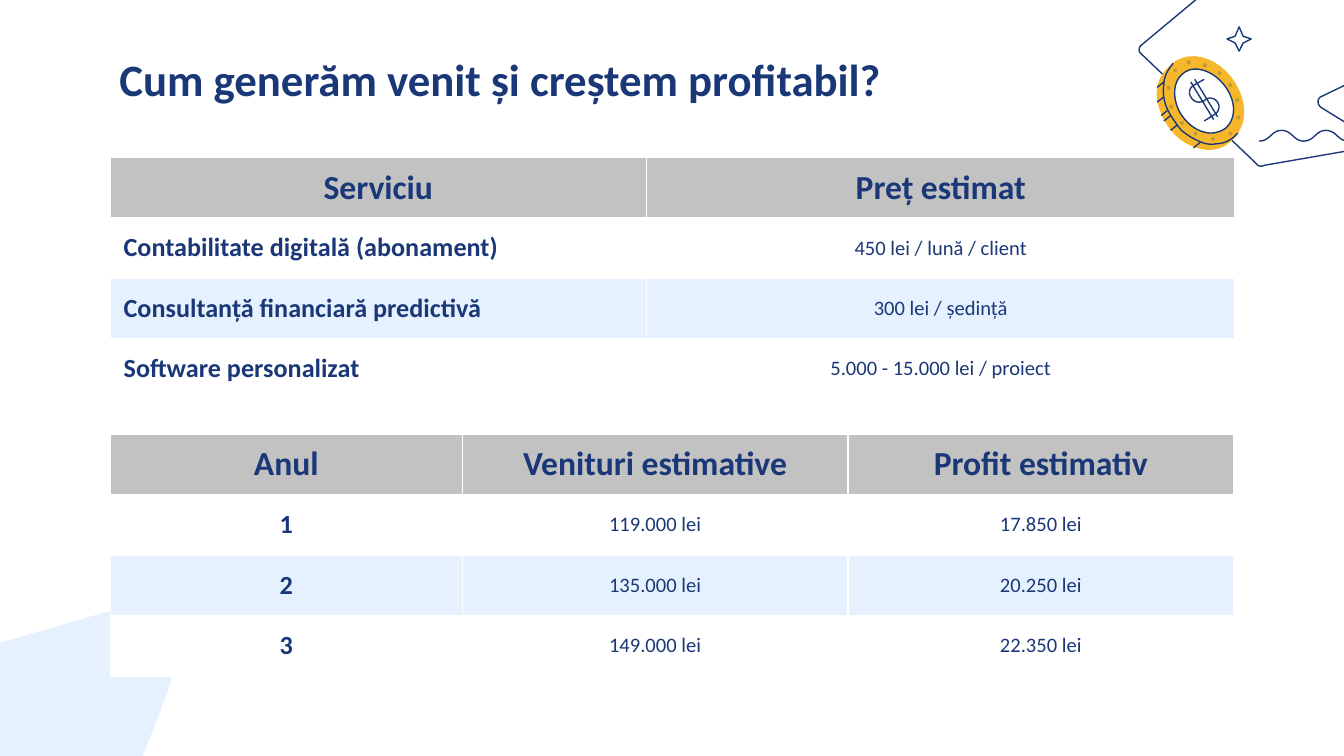
from dataclasses import dataclass
from typing import NamedTuple

from lxml.etree import SubElement
from pptx import Presentation
from pptx.dml.color import RGBColor
from pptx.enum.shapes import MSO_CONNECTOR, MSO_SHAPE
from pptx.enum.text import MSO_ANCHOR, PP_ALIGN
from pptx.oxml.ns import qn
from pptx.util import Emu, Inches, Pt

WIDE, HIGH = 100, 56.25
CELL = Inches(10) / WIDE
FONT = "Calibri"
STEPS = 10
HUES = {"navy": "1A3777", "gold": "F6B82A", "sky": "E5F1FF",
        "grey": "C2C2C2", "white": "FFFFFF"}


class Spot(NamedTuple):
    col: float
    row: float


@dataclass
class Form:
    start: tuple
    legs: list
    fill: str = ""
    line: str = "navy"
    close: bool = True


@dataclass
class Grid:
    top: float
    cols: list
    rows: list
    side: PP_ALIGN


def size(cells: float) -> Emu:
    return Emu(round(cells * CELL))


def hue(name: str) -> RGBColor:
    return RGBColor.from_string(HUES[name])


def curve(a: tuple, leg: tuple) -> list:
    b, c, d = leg[:2], leg[2:4], leg[4:]
    spots = []
    for step in range(1, STEPS + 1):
        t = step / STEPS
        u = 1 - t
        spots.append(Spot(*(u**3 * a[i] + 3 * u * u * t * b[i]
                            + 3 * u * t * t * c[i] + t**3 * d[i] for i in (0, 1))))
    return spots


def draw_form(slide, form: Form) -> None:
    spots = [Spot(*form.start)]
    for leg in form.legs:
        spots += [Spot(*leg)] if len(leg) == 2 else curve(spots[-1], leg)
    points = [(size(spot.col), size(spot.row)) for spot in spots]
    pen = slide.shapes.build_freeform(*points[0], scale=1.0)
    pen.add_line_segments(points[1:], close=form.close)
    shape = pen.convert_to_shape()
    shape.shadow.inherit = False
    if form.fill:
        shape.fill.solid()
        shape.fill.fore_color.rgb = hue(form.fill)
    else:
        shape.fill.background()
    if form.line:
        shape.line.color.rgb = hue(form.line)
        shape.line.width = Pt(0.75)
    else:
        shape.line.fill.background()


def draw_tick(slide, start: Spot, end: Spot) -> None:
    line = slide.shapes.add_connector(
        MSO_CONNECTOR.STRAIGHT, *(size(n) for n in (*start, *end)))
    line.line.color.rgb = hue("navy")
    line.line.width = Pt(0.75)
    SubElement(line._element.spPr, qn("a:effectLst"))


def draw_dot(slide, spot: Spot, width: float = 0.3) -> None:
    dot = slide.shapes.add_shape(
        MSO_SHAPE.OVAL, size(spot.col), size(spot.row), size(width), size(width))
    dot.shadow.inherit = False
    dot.line.fill.background()
    dot.fill.solid()
    dot.fill.fore_color.rgb = hue("navy")
    tint = dot._element.spPr.find(qn("a:solidFill"))[0]
    SubElement(tint, qn("a:alpha"), val="23000")


def style(part, points: float, bold: bool) -> None:
    for run in part.runs:
        run.font.name = FONT
        run.font.size = Pt(points)
        run.font.bold = bold
        run.font.color.rgb = hue("navy")


def frame_cell(cell) -> None:
    props = cell._tc.get_or_add_tcPr()
    for side in ("lnL", "lnR", "lnT", "lnB"):
        edge = SubElement(props, qn(f"a:{side}"), w=str(Pt(0.75)))
        SubElement(SubElement(edge, qn("a:solidFill")), qn("a:srgbClr"),
                   val=HUES["white"])


def draw_grid(slide, grid: Grid, left: float = 8.2, tall: float = 4.5) -> None:
    table = slide.shapes.add_table(
        len(grid.rows), len(grid.cols), size(left), size(grid.top),
        size(sum(grid.cols)), size(tall * len(grid.rows))).table
    table.horz_banding = False
    for col, width in zip(table.columns, grid.cols):
        col.width = size(width)
    for r, words in enumerate(grid.rows):
        for c, text in enumerate(words):
            cell = table.cell(r, c)
            head, first = r == 0, c == 0
            frame_cell(cell)
            cell.fill.solid()
            cell.fill.fore_color.rgb = hue("grey" if head else "white" if r % 2 else "sky")
            cell.vertical_anchor = MSO_ANCHOR.MIDDLE
            cell.margin_left = cell.margin_right = size(1 if head or first else 0)
            cell.margin_top = cell.margin_bottom = size(0.7 if head else 0)
            cell.text_frame.text = text
            part = cell.text_frame.paragraphs[0]
            part.alignment = grid.side if first and not head else PP_ALIGN.CENTER
            style(part, 18 if head else 14 if first else 11, head or first)


def draw_title(slide, text: str) -> None:
    box = slide.shapes.add_textbox(size(7.9), size(2.7), size(84.3), size(6.3))
    frame = box.text_frame
    frame.word_wrap = True
    frame.vertical_anchor = MSO_ANCHOR.MIDDLE
    frame.margin_left = frame.margin_right = size(1)
    frame.margin_top = frame.margin_bottom = size(1)
    frame.text = text
    style(frame.paragraphs[0], 24, True)


CARD = Form((84.8, 3.9), [
    (93.5, 12.2), (93.6, 12.4, 93.9, 12.4, 94.1, 12.3), (101.6, 11),
    (102, 10.8, 102, 10.3, 101.7, 10.1), (98.3, 8), (98, 7.8, 98, 7.3, 98.3, 7.2),
    (103.7, 4.6), (104, 4.5, 104.1, 4.2, 103.9, 4), (99.8, -3),
    (99.7, -3.2, 99.5, -3.2, 99.2, -3.2), (92.7, -2.5),
    (92.1, -2.4, 91.5, -2.1, 91, -1.7), (85, 3.3), (84.8, 3.4, 84.7, 3.7, 84.8, 3.9)])
COIN = [
    Form((87.5, 4.6), [
        (87.5, 4.6, 85.2, 5.7, 86.4, 8.5), (86.4, 8.5, 87.2, 10.7, 89.4, 11.1),
        (89.4, 11.1, 91.1, 11.6, 92.2, 9.8)], "gold", ""),
    Form((92.2, 6.7), [
        (91.4, 4.9, 89.5, 3.8, 88, 4.3), (86.6, 4.7, 86.1, 6.6, 87, 8.4),
        (87.8, 10.1, 89.7, 11.1, 91.1, 10.6), (92.5, 10.2, 93, 8.4, 92.2, 6.7)],
        "gold", ""),
    Form((87.3, 4.7), [
        (86.9, 5.2, 86.6, 5.7, 86.6, 6.3), (86.5, 6.9, 86.6, 7.6, 86.9, 8.2),
        (87.2, 8.8, 87.6, 9.3, 87.9, 9.7), (88.3, 10, 88.7, 10.3, 89.2, 10.5),
        (89.6, 10.7, 90.1, 10.8, 90.5, 10.7), (91.1, 10.7, 91.7, 10.4, 92.1, 9.9)],
        close=False),
    Form((91.5, 7), [
        (92.1, 8.2, 91.7, 9.5, 90.7, 9.8), (89.6, 10.2, 88.3, 9.4, 87.7, 8.2),
        (87.1, 6.9, 87.4, 5.6, 88.5, 5.2), (89.5, 4.9, 90.9, 5.7, 91.5, 7)], "white"),
    Form((89.6, 5.9), [
        (88.9, 6.3), (88.5, 6.5, 88.4, 6.9, 88.6, 7.2),
        (88.8, 7.6, 89.2, 7.7, 89.6, 7.5), (89.7, 7.4),
        (90, 7.2, 90.4, 7.3, 90.6, 7.6), (90.8, 7.9, 90.7, 8.3, 90.4, 8.5),
        (89.6, 9)], close=False)]
BARS = [Spot(88.6, 6.1), Spot(88.9, 5.9)]
NICKS = [Spot(86.6, 6.1), Spot(86.6, 7.2), Spot(86.9, 8.2), Spot(87.1, 8.6),
         Spot(87.6, 9.3), Spot(89.3, 10.6)]
DOTS = [Spot(91.4, 9.8), Spot(92, 8.6), Spot(90.1, 10.2), Spot(88.8, 9.8),
        Spot(87.8, 9), Spot(87, 7.8), Spot(86.8, 6.4), Spot(87.3, 5.1),
        Spot(88.3, 4.5), Spot(89.5, 4.7), Spot(91.9, 7.3), Spot(91.4, 6.2),
        Spot(90.6, 5.3)]
CREST, TROUGH, SPAN = 9.7, 10.5, 1.65
WAVE = Form((93.7, TROUGH), [
    (x + 0.8, a, x + 0.9, b, x + SPAN, b)
    for x, a, b in ((93.7 + SPAN * i, *((CREST, TROUGH) if i % 2 else (TROUGH, CREST)))
                    for i in range(4))], close=False)
STAR = Form((93.1, 2.9), [
    (92.5, 3.2), (92.2, 3.8), (91.9, 3.2), (91.3, 2.9),
    (91.9, 2.7), (92.2, 2), (92.5, 2.7)])
BLOB = Form((-19.3, 63.5), [
    (-18.4, 64.9, -16.3, 67.9, -15, 69.7), (-14.4, 70.6, -13.2, 71, -12.2, 70.6),
    (6.1, 64), (6.9, 63.8, 7.6, 63.2, 8.4, 62.1), (12.5, 51.4),
    (13.4, 49.1, 12.2, 46.4, 9.8, 45.6), (9.3, 45.4, 8.8, 45.3, 8.4, 45.4),
    (-1.6, 48.3), (-3, 48.6, -4.5, 48.5, -5.8, 47.9), (-16.2, 43.3),
    (-17.8, 42.6, -19.6, 43.8, -19.6, 45.5), (-19.6, 62.2),
    (-19.6, 62.7, -19.5, 63.1, -19.3, 63.5)], "sky", "")
GRIDS = [
    Grid(11.7, [39.9, 43.8], [
        ["Serviciu", "Preț estimat"],
        ["Contabilitate digitală (abonament)", "450 lei / lună / client"],
        ["Consultanță financiară predictivă", "300 lei / ședință"],
        ["Software personalizat", "5.000 - 15.000 lei / proiect"]], PP_ALIGN.LEFT),
    Grid(32.3, [26.2, 28.7, 28.7], [
        ["Anul", "Venituri estimative", "Profit estimativ"],
        ["1", "119.000 lei", "17.850 lei"],
        ["2", "135.000 lei", "20.250 lei"],
        ["3", "149.000 lei", "22.350 lei"]], PP_ALIGN.CENTER)]


def main() -> None:
    deck = Presentation()
    deck.slide_width, deck.slide_height = size(WIDE), size(HIGH)
    slide = deck.slides.add_slide(deck.slide_layouts[6])
    for form in [CARD, *COIN]:
        draw_form(slide, form)
    for bar in BARS:
        draw_tick(slide, bar, Spot(bar.col + 1.7, bar.row + 2.8))
    for nick in NICKS:
        draw_tick(slide, nick, Spot(nick.col - 0.5, nick.row + 0.4))
    for dot in DOTS:
        draw_dot(slide, dot)
    for form in (WAVE, STAR, BLOB):
        draw_form(slide, form)
    draw_title(slide, "Cum generăm venit și creștem profitabil?")
    for grid in GRIDS:
        draw_grid(slide, grid)
    deck.save("out.pptx")


if __name__ == "__main__":
    main()
